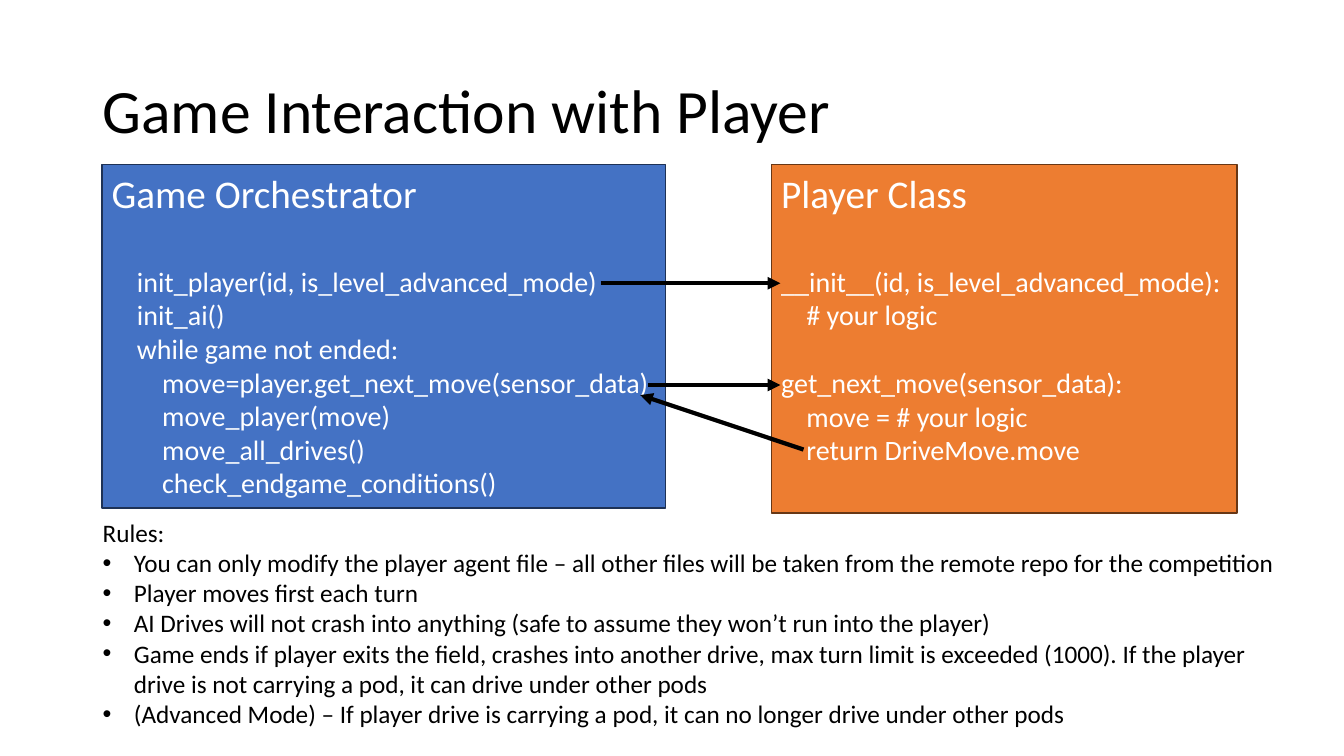
from dataclasses import dataclass

from lxml import etree
from pptx import Presentation
from pptx.dml.color import RGBColor
from pptx.enum.shapes import MSO_CONNECTOR, MSO_SHAPE
from pptx.enum.text import MSO_ANCHOR, PP_ALIGN
from pptx.oxml.ns import qn
from pptx.slide import Slide
from pptx.text.text import TextFrame
from pptx.util import Inches, Pt

RECTANGLE = MSO_SHAPE.RECTANGLE
STRAIGHT = MSO_CONNECTOR.STRAIGHT
TOP, MIDDLE = MSO_ANCHOR.TOP, MSO_ANCHOR.MIDDLE
LEFT = PP_ALIGN.LEFT


@dataclass(frozen=True)
class Theme:
    font: str = "Calibri"
    ink: str = "000000"
    paper: str = "FFFFFF"
    blue: str = "4472C4"
    blue_edge: str = "1E3256"
    orange: str = "ED7D31"
    orange_edge: str = "683715"
    title_size: int = 44
    heading_size: int = 28
    code_size: int = 20
    rule_size: int = 18
    code_step: float = 0.25
    bullet_indent: float = 0.31
    line_height: float = 1.22


THEME = Theme()


@dataclass(frozen=True)
class Area:
    left: float
    top: float
    width: float
    height: float


@dataclass(frozen=True)
class Line:
    text: str
    size: int
    level: int = 0
    gap: int = 0  # type size of the empty line above
    bullet: bool = False


@dataclass(frozen=True)
class Panel:
    area: Area
    fill: str
    edge: str
    lines: tuple[Line, ...]


@dataclass(frozen=True)
class Arrow:
    start: tuple[float, float]
    end: tuple[float, float]


def code(text: str, level: int = 0, gap: int = 0) -> Line:
    return Line(text, THEME.code_size, level, gap)


PANELS = (
    Panel(Area(1.01, 1.63, 5.59, 3.41), THEME.blue, THEME.blue_edge, (
        Line("Game Orchestrator", THEME.heading_size),
        code("init_player(id, is_level_advanced_mode)", 1, THEME.heading_size),
        code("init_ai()", 1),
        code("while game not ended:", 1),
        code("move=player.get_next_move(sensor_data)", 2),
        code("move_player(move)", 2),
        code("move_all_drives()", 2),
        code("check_endgame_conditions()", 2),
    )),
    Panel(Area(7.65, 1.63, 4.62, 3.46), THEME.orange, THEME.orange_edge, (
        Line("Player Class", THEME.heading_size),
        code("__init__(id, is_level_advanced_mode):", 0, THEME.heading_size),
        code("# your logic", 1),
        code("get_next_move(sensor_data):", 0, THEME.code_size),
        code("move = # your logic", 1),
        code("return DriveMove.move", 1),
    )),
)

ARROWS = (
    Arrow((5.96, 2.81), (7.74, 2.81)),
    Arrow((7.97, 4.46), (6.35, 3.92)),
    Arrow((6.43, 3.82), (7.74, 3.82)),
)

RULES = (
    "You can only modify the player agent file – all other files will be taken "
    "from the remote repo for the competition",
    "Player moves first each turn",
    "AI Drives will not crash into anything (safe to assume they won’t run into the player)",
    "Game ends if player exits the field, crashes into another drive, max turn limit "
    "is exceeded (1000). If the player drive is not carrying a pod, it can drive under other pods",
    "(Advanced Mode) – If player drive is carrying a pod, it can no longer drive under other pods",
)


def rgb(value: str) -> RGBColor:
    return RGBColor.from_string(value)


def lengths(area: Area) -> list[int]:
    return [Inches(n) for n in (area.left, area.top, area.width, area.height)]


def write_lines(frame: TextFrame, lines: tuple[Line, ...], color: str) -> None:
    frame.word_wrap = True
    for number, line in enumerate(lines):
        para = frame.paragraphs[0] if number == 0 else frame.add_paragraph()
        para.text = line.text
        para.alignment = LEFT
        para.font.name = THEME.font
        para.font.size = Pt(line.size)
        para.font.color.rgb = rgb(color)
        if line.gap:
            para.space_before = Pt(round(line.gap * THEME.line_height, 1))
        properties = para._p.get_or_add_pPr()
        if line.level:
            properties.set("marL", str(Inches(line.level * THEME.code_step)))
        if line.bullet:
            indent = Inches(THEME.bullet_indent)
            properties.set("marL", str(indent))
            properties.set("indent", str(-indent))
            etree.SubElement(properties, qn("a:buFont")).set("typeface", "Arial")
            etree.SubElement(properties, qn("a:buChar")).set("char", "•")


def add_text(page: Slide, area: Area, lines: tuple[Line, ...]) -> TextFrame:
    frame = page.shapes.add_textbox(*lengths(area)).text_frame
    write_lines(frame, lines, THEME.ink)
    return frame


def add_panel(page: Slide, panel: Panel) -> None:
    box = page.shapes.add_shape(RECTANGLE, *lengths(panel.area))
    box.shadow.inherit = False
    box.fill.solid()
    box.fill.fore_color.rgb = rgb(panel.fill)
    box.line.color.rgb = rgb(panel.edge)
    box.line.width = Pt(1)
    box.text_frame.vertical_anchor = TOP
    write_lines(box.text_frame, panel.lines, THEME.paper)


def add_arrow(page: Slide, arrow: Arrow) -> None:
    ends = [Inches(n) for n in (*arrow.start, *arrow.end)]
    connector = page.shapes.add_connector(STRAIGHT, *ends)
    connector.line.color.rgb = rgb(THEME.ink)
    connector.line.width = Pt(3)
    outline = connector.line._get_or_add_ln()
    etree.SubElement(outline, qn("a:tailEnd")).set("type", "triangle")
    etree.SubElement(connector._element.spPr, qn("a:effectLst"))


def main() -> None:
    deck = Presentation()
    deck.slide_width, deck.slide_height = Inches(13.33), Inches(7.5)
    page = deck.slides.add_slide(deck.slide_layouts[6])

    # Title
    title = add_text(page, Area(0.92, 0.4, 11.5, 1.45),
                     (Line("Game Interaction with Player", THEME.title_size),))
    title.vertical_anchor = MIDDLE
    title.paragraphs[0].line_spacing = 0.9

    # Code panels and the calls between them
    for panel in PANELS:
        add_panel(page, panel)
    for arrow in ARROWS:
        add_arrow(page, arrow)

    # Rules
    rules = tuple(Line(rule, THEME.rule_size, bullet=True) for rule in RULES)
    add_text(page, Area(0.92, 5.08, 11.96, 2.52),
             (Line("Rules:", THEME.rule_size), *rules))

    deck.save("out.pptx")


if __name__ == "__main__":
    main()
